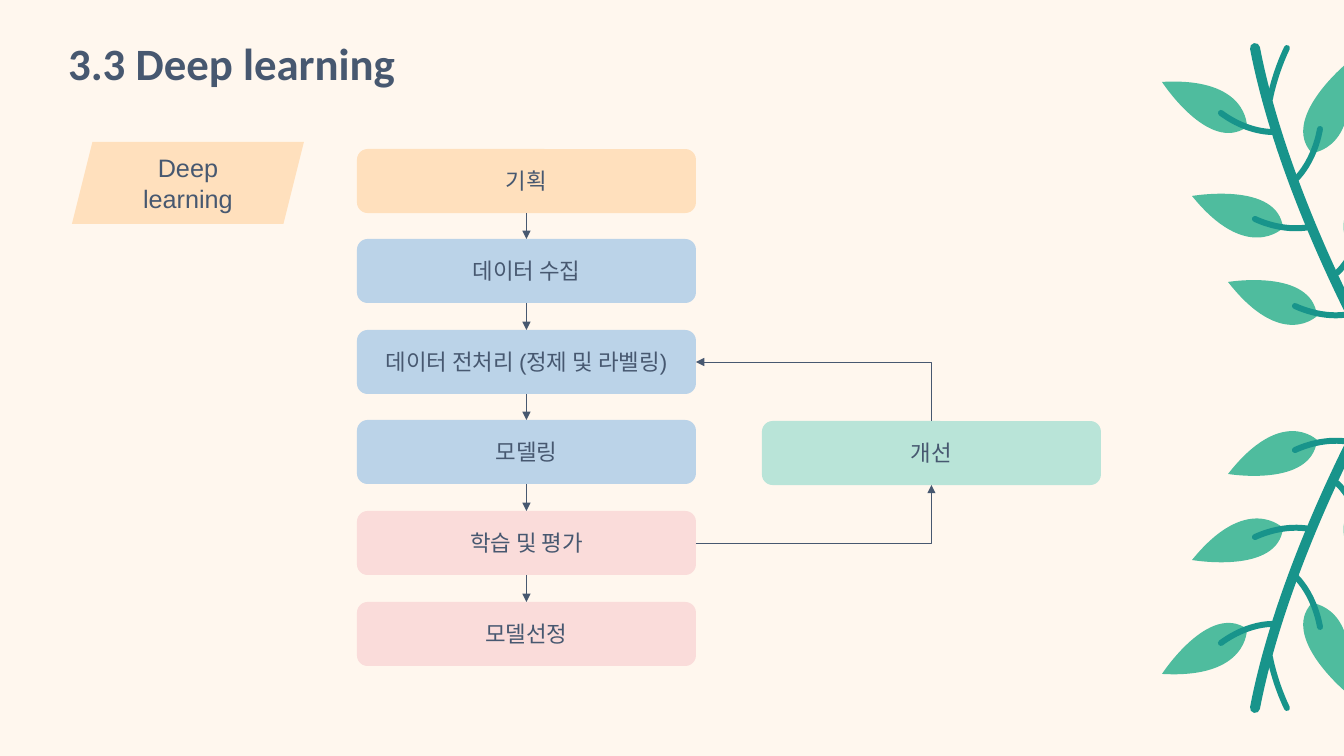
from lxml.etree import SubElement
from pptx import Presentation
from pptx.dml.color import RGBColor
from pptx.enum.shapes import MSO_CONNECTOR as CONNECTOR, MSO_SHAPE as SHAPE
from pptx.enum.text import MSO_ANCHOR as ANCHOR, MSO_AUTO_SIZE as AUTO_SIZE, PP_ALIGN as ALIGN
from pptx.oxml.ns import qn
from pptx.util import Pt

CREAM = RGBColor(0xFF, 0xF7, 0xEE)
SLATE = RGBColor(0x47, 0x58, 0x70)
PEACH = RGBColor(0xFF, 0xE0, 0xBD)
BLUE = RGBColor(0xBB, 0xD3, 0xE8)
PINK = RGBColor(0xFA, 0xDC, 0xDA)
MINT = RGBColor(0xB9, 0xE4, 0xD8)
LEAF_GREEN = RGBColor(0x4F, 0xBC, 0x9E)
STEM_GREEN = RGBColor(0x18, 0x94, 0x8B)

TOP, BOTTOM, RIGHT = 0, 2, 3

STEPS = [
    ("기획", PEACH),
    ("데이터 수집", BLUE),
    ("데이터 전처리 (정제 및 라벨링)", BLUE),
    ("모델링", BLUE),
    ("학습 및 평가", PINK),
    ("모델선정", PINK),
]
LEAVES = [
    [(87, 87), (89, 37), (2, 42), (49, 114)],
    [(152, 113), (202, 109), (186, 24), (120, 79)],
    [(123, 188), (87, 224), (32, 156), (118, 141)],
    [(193, 212), (157, 177), (226, 121), (240, 207)],
    [(157, 276), (122, 311), (68, 242), (152, 228)],
]
STEMS = [
    (10, [(95, 8), (124, 159), (215, 319), (216, 321)]),
    (6, [(113, 92), (112, 92), (88, 93), (61, 73)]),
    (6, [(160, 89), (154, 122), (137, 138), (136, 139)]),
    (6, [(202, 184), (196, 216), (178, 232), (177, 233)]),
    (6, [(150, 187), (149, 187), (126, 193), (95, 179)]),
    (6, [(190, 274), (189, 274), (166, 280), (135, 266)]),
    (6, [(127, 8), (115, 33), (110, 58), (110, 59)]),
]


def px(length):
    return round(length * 914400 / 100.8)


def write(shape, text, size=16, font="Arial", bold=False, align=ALIGN.CENTER,
          anchor=ANCHOR.MIDDLE, spacing=None):
    frame = shape.text_frame
    frame.word_wrap = True
    frame.auto_size = AUTO_SIZE.NONE
    frame.vertical_anchor = anchor
    paragraph = frame.paragraphs[0]
    paragraph.alignment = align
    paragraph.line_spacing = spacing
    run = paragraph.add_run()
    run.text = text
    run.font.size = Pt(size)
    run.font.name = font
    run.font.bold = bold
    run.font.color.rgb = SLATE


def paint(shape, color):
    shape.shadow.inherit = False
    shape.fill.solid()
    shape.fill.fore_color.rgb = color
    shape.line.fill.background()


def label(slide, box, text, color, kind=SHAPE.ROUNDED_RECTANGLE, **style):
    shape = slide.shapes.add_shape(kind, *map(px, box))
    paint(shape, color)
    write(shape, text, **style)
    return shape


def arrow(slide, start, start_site, end, end_site, bent=False, tip="tailEnd"):
    kind = CONNECTOR.ELBOW if bent else CONNECTOR.STRAIGHT
    connector = slide.shapes.add_connector(kind, 0, 0, 0, 0)
    connector.begin_connect(start, start_site)
    connector.end_connect(end, end_site)
    connector.line.width = Pt(0.5)
    connector.line.color.rgb = SLATE
    properties = connector._element.spPr
    if bent:
        properties.find(qn("a:prstGeom")).set("prst", "bentConnector2")
    SubElement(connector.line._get_or_add_ln(), qn("a:" + tip), type="triangle")
    SubElement(properties, qn("a:effectLst"))


def title(slide, box, text):
    heading = slide.shapes.title
    heading.left, heading.top, heading.width, heading.height = map(px, box)
    write(heading, text, size=32, font="Calibri", bold=True, align=ALIGN.LEFT,
          anchor=ANCHOR.TOP, spacing=0.9)


def workflow(slide, box):
    left, top, width, height = box
    row = 64
    last = len(STEPS) - 1
    stages = [
        label(slide, (left, top + i * (height - row) // last, width, row), text, color)
        for i, (text, color) in enumerate(STEPS)
    ]
    improvement = label(slide, (left + 405, top + 272, width, row), "개선", MINT)
    for stage, following in zip(stages, stages[1:]):
        arrow(slide, stage, BOTTOM, following, TOP)
    preprocessing, evaluation = stages[2], stages[4]
    arrow(slide, evaluation, RIGHT, improvement, BOTTOM, bent=True)
    arrow(slide, preprocessing, RIGHT, improvement, TOP, bent=True, tip="headEnd")


def curved(group, points, close):
    builder = group.shapes.build_freeform(*points[0])
    builder.add_line_segments(points[1:], close=close)
    shape = builder.convert_to_shape()
    segments = list(shape._element.iter(qn("a:lnTo")))
    for i in range(0, len(segments), 3):
        bezier = segments[i].makeelement(qn("a:cubicBezTo"))
        segments[i].addprevious(bezier)
        for segment in segments[i:i + 3]:
            bezier.append(segment[0])
            segment.getparent().remove(segment)
    return shape


def branch(slide, box, flipped=False):
    left, top, _, height = box
    group = slide.shapes.add_group_shape()

    def place(points):
        return [(px(left + x), px(top + (height - y if flipped else y)))
                for x, y in points]

    for leaf in LEAVES:
        base, upper, tip, lower = place(leaf)
        blade = curved(group, [base, base, upper, tip, tip, lower, base], close=True)
        paint(blade, LEAF_GREEN)
    for width, controls in STEMS:
        stem = curved(group, place(controls), close=False)
        stem.shadow.inherit = False
        stem.fill.background()
        stem.line.color.rgb = STEM_GREEN
        stem.line.width = px(width)
        stem.line._get_or_add_ln().set("cap", "rnd")


def main():
    deck = Presentation()
    deck.slide_width, deck.slide_height = px(1344), px(756)
    slide = deck.slides.add_slide(deck.slide_layouts[5])
    slide.background.fill.solid()
    slide.background.fill.fore_color.rgb = CREAM
    title(slide, (58, 37, 506, 72), "3.3 Deep learning")
    branch(slide, (1160, 390, 240, 326), flipped=True)
    branch(slide, (1160, 40, 240, 326))
    label(slide, (72, 142, 232, 82), "Deep learning", PEACH,
          kind=SHAPE.PARALLELOGRAM, size=18)
    workflow(slide, (357, 149, 339, 517))
    deck.save("out.pptx")


if __name__ == "__main__":
    main()
